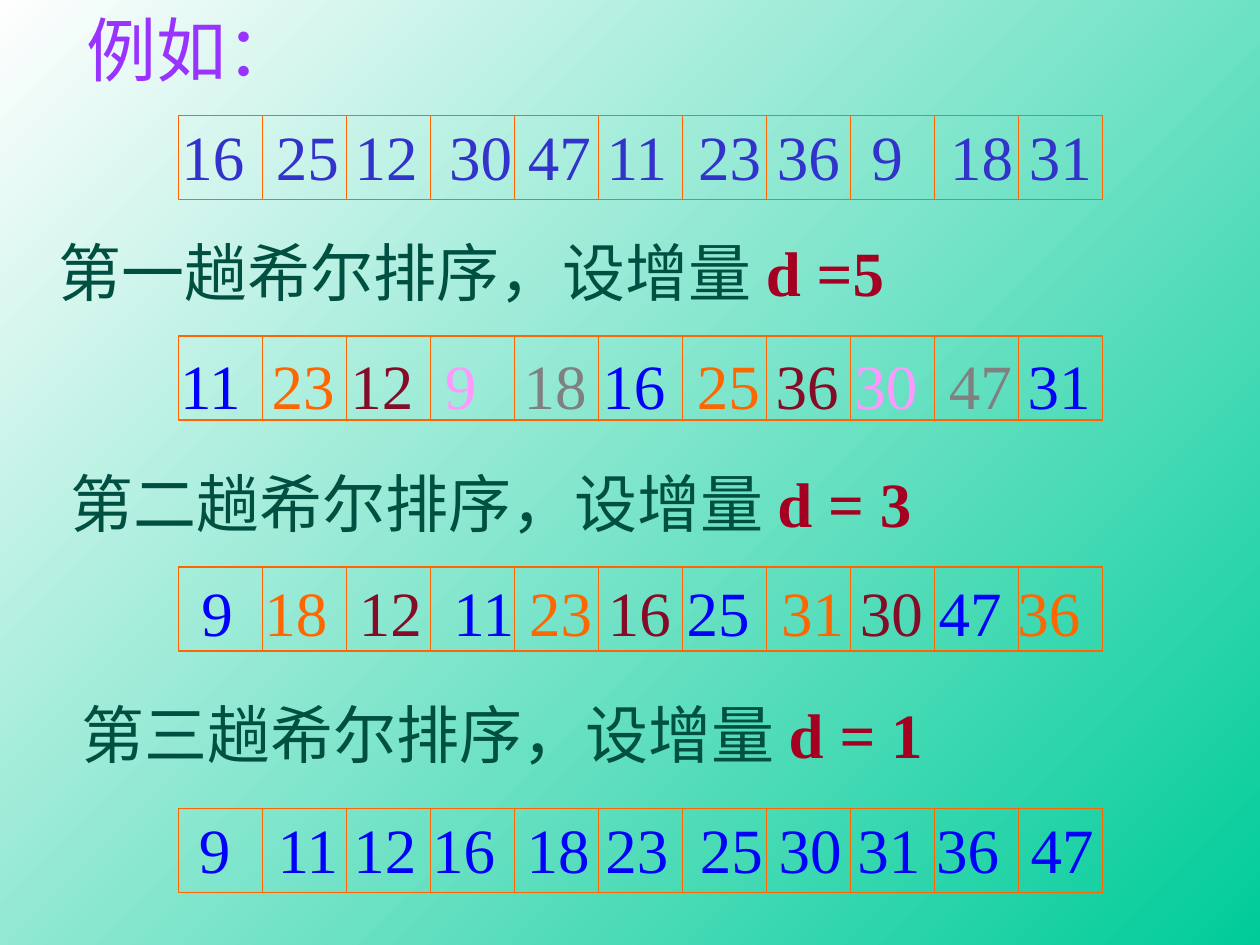
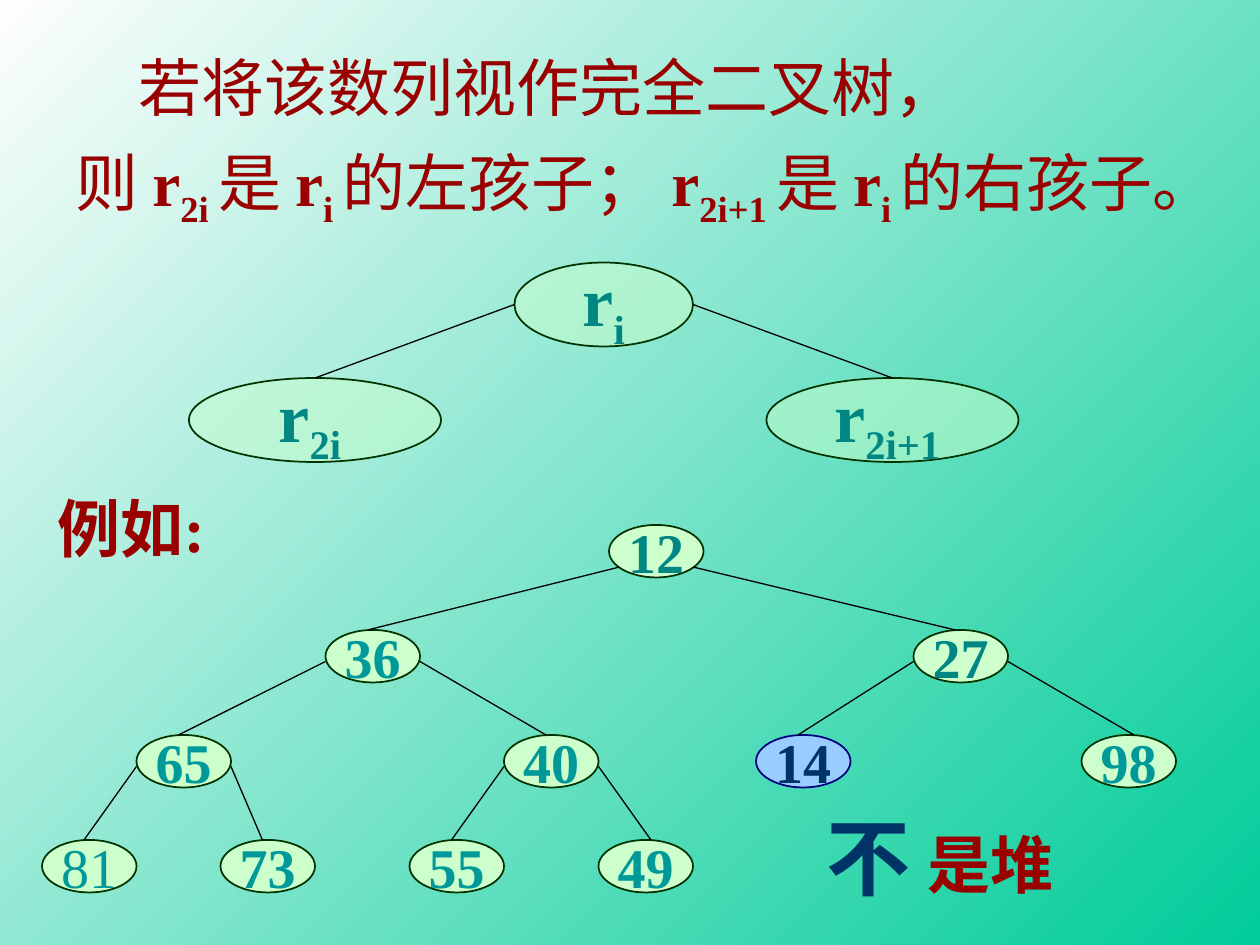
from lxml import etree
from pptx import Presentation
from pptx.dml.color import RGBColor
from pptx.enum.shapes import MSO_CONNECTOR, MSO_SHAPE
from pptx.enum.text import MSO_ANCHOR, PP_ALIGN
from pptx.oxml.ns import qn
from pptx.util import Pt

STRAIGHT = MSO_CONNECTOR.STRAIGHT
RECTANGLE, OVAL = MSO_SHAPE.RECTANGLE, MSO_SHAPE.OVAL
MIDDLE, CENTER = MSO_ANCHOR.MIDDLE, PP_ALIGN.CENTER

FONT = "Times New Roman"
GREEN, WHITE, BLACK = "00CC99", "FEFEFE", "000000"
ORANGE, BLUE, INDIGO, VIOLET = "FF6600", "0000FF", "3333CC", "9933FF"
WINE, PINK, GRAY = "840C26", "FF99FF", "808080"
PINE, CRIMSON, DARK_RED, NAVY = "005042", "A50021", "990000", "003366"
TEAL, LIGHT_TEAL = "008784", "009999"
NODE_FILL, NODE_LINE = "CCFFCC", "003300"
ODD_FILL, ODD_LINE = "99CCFF", "000080"

CELL, CELLS = 48, 11
DIGIT, SPACE, PAIR_KERN = 18, 9, 1.7  # advance widths at 36 pt


def color(hex_code):
    return RGBColor.from_string(hex_code)


def add_page(deck):
    page = deck.slides.add_slide(deck.slide_layouts[6])
    fill = page.background.fill
    fill.gradient()
    fill.gradient_angle = 135
    for stop, (place, hex_code) in zip(fill.gradient_stops, ((0, GREEN), (1, WHITE))):
        stop.position = place
        stop.color.rgb = color(hex_code)
    return page


def add_span(para, text, hex_code, size=36, bold=False, sub=False):
    span = para.add_run()
    span.text = text
    for name, value in {"name": FONT, "size": Pt(size), "bold": bold}.items():
        setattr(span.font, name, value)
    span.font.color.rgb = color(hex_code)
    if sub:
        span.font._element.set("baseline", "-25000")


def add_text(page, box, spans, wrap=False):
    """Place a text box; each span is a tuple of add_span arguments."""
    frame = page.shapes.add_textbox(*map(Pt, box)).text_frame
    frame.word_wrap = wrap
    for span in spans:
        add_span(frame.paragraphs[0], *span)
    return frame


def add_line(page, ends, hex_code):
    line = page.shapes.add_connector(STRAIGHT, *map(Pt, ends))
    line.line.color.rgb = color(hex_code)
    line.line.width = Pt(0.75)
    etree.SubElement(line._element.spPr, qn("a:effectLst"))


def add_outlined(page, kind, box, line_color, width):
    shape = page.shapes.add_shape(kind, *map(Pt, box))
    shape.shadow.inherit = False
    shape.fill.background()
    shape.line.color.rgb = color(line_color)
    shape.line.width = Pt(width)
    return shape


def add_array_grid(page, left, top):
    add_outlined(page, RECTANGLE, (left, top, CELL * CELLS, CELL), ORANGE, 0.75)
    for column in range(1, CELLS):
        x = left + column * CELL
        add_line(page, (x, top, x, top + CELL), ORANGE)


def add_array_numbers(page, left, top, numbers, gaps, colors):
    """Write the numbers on one line, a tab stop opening each gap (in spaces)."""
    spans = []
    for index, number in enumerate(numbers):
        lead = "\t" if index else ""
        spans.append((f"{lead}{number}", colors[index % len(colors)]))
    frame = add_text(page, (left, top, 566, 50), spans, wrap=True)
    stops = etree.SubElement(frame.paragraphs[0]._p.get_or_add_pPr(), qn("a:tabLst"))
    x = 0
    for number, gap in zip(numbers, gaps):
        x += DIGIT * len(str(number)) + SPACE * gap - PAIR_KERN * (number == 11)
        etree.SubElement(stops, qn("a:tab"), pos=str(int(Pt(x))), algn="l")


def add_node(page, box, spans, fill=NODE_FILL, line=NODE_LINE, alpha=None):
    node = add_outlined(page, OVAL, box, line, 1)
    node.fill.solid()
    node.fill.fore_color.rgb = color(fill)
    if alpha:
        rgb = node._element.spPr.find(qn("a:solidFill"))[0]
        etree.SubElement(rgb, qn("a:alpha"), val=str(alpha * 1000))
    frame = node.text_frame
    frame.word_wrap = False
    frame.vertical_anchor = MIDDLE
    para = frame.paragraphs[0]
    para.alignment = CENTER
    for span in spans:
        add_span(para, *span)


def build_shell_sort(deck):
    page = add_page(deck)
    for top in (66, 192, 324, 462):
        add_array_grid(page, 102, top)
    add_text(page, (42.5, 0, 134, 55), [("例如：", VIOLET, 40)])
    for left, top, ordinal, increment in (
        (26.6, 130, "一", "d =5"),
        (33.1, 262, "二", "d = 3"),
        (39.6, 394, "三", "d = 1"),
    ):
        spans = [(f"第{ordinal}趟希尔排序，设增量 ", PINE), (increment, CRIMSON, 36, True)]
        add_text(page, (left, top, 513, 50), spans)
    by_five = (BLUE, ORANGE, WINE, PINK, GRAY)
    by_three = (BLUE, ORANGE, WINE)
    for left, top, numbers, gaps, colors in (
        (96.5, 63.6, (16, 25, 12, 30, 47, 11, 23, 36, 9, 18, 31),
         (2, 1, 2, 1, 1, 2, 1, 2, 3, 1), (INDIGO,)),
        (95.8, 194.4, (11, 23, 12, 9, 18, 16, 25, 36, 30, 47, 31),
         (2, 1, 2, 3, 1, 2, 1, 1, 2, 1), by_five),
        (108, 324, (9, 18, 12, 11, 23, 16, 25, 31, 30, 47, 36),
         (2, 2, 2, 1, 1, 1, 2, 1, 1, 1), by_three),
        (106.5, 459.4, (9, 11, 12, 16, 18, 23, 25, 30, 31, 36, 47),
         (3, 1, 1, 2, 1, 2, 1, 1, 1, 2), (BLUE,)),
    ):
        add_array_numbers(page, left, top, numbers, gaps, colors)


def add_rule_text(page, box):
    frame = add_text(page, box, [("若将该数列视作完全二叉树，", DARK_RED)], wrap=True)
    first = frame.paragraphs[0]
    first._p.get_or_add_pPr().set("indent", str(int(Pt(36))))
    second = frame.add_paragraph()
    for plain, index in (("则 ", "2i "), ("是 ", "i "), ("的左孩子； ", "2i+1 "), ("是 ", "i ")):
        add_span(second, plain, DARK_RED)
        add_span(second, "r", DARK_RED, bold=True)
        add_span(second, index, DARK_RED, bold=True, sub=True)
    add_span(second, "的右孩子。", DARK_RED)
    for para in frame.paragraphs:
        para.space_before = Pt(11.2)


def add_family(page, left, top):
    """Draw the general parent with its two children."""
    for x, y, width, index in ((186, 0, 102, "i"), (0, 66, 144, "2i "), (330, 66, 144, "2i+1 ")):
        spans = [("r", TEAL, 40, True), (index, TEAL, 40, True, True)]
        add_node(page, (left + x, top + y, width, 48), spans, alpha=50)
    for start, end in ((186, 72), (288, 402)):
        add_line(page, (left + start, top + 24, left + end, top + 66), BLACK)


def add_example_tree(page, left, top):
    """Draw the tree level by level: value, node left, x where its edge arrives."""
    width, height, step = 54, 30, 60
    nodes = (
        (12, 324, 0), (36, 162, 186), (27, 498, 522), (65, 54, 78),
        (40, 264, 288), (14, 408, 432), (98, 594, 624),
        (81, 0, 24), (73, 102, 126), (55, 210, 234), (49, 318, 348),
    )
    for index, (value, x, tip) in enumerate(nodes):
        y = top + step * ((index + 1).bit_length() - 1)
        text_color = {12: TEAL, 27: TEAL, 14: NAVY}.get(value, LIGHT_TEAL)
        look = {"fill": ODD_FILL, "line": ODD_LINE} if value == 14 else {}
        add_node(page, (left + x, y, width, height),
                 [(str(value), text_color, 32, value != 81)], **look)
        if index:
            parent = (index - 1) // 2
            inset, drop = (0, 18) if parent else (6, 24)
            start = nodes[parent][1] + (inset if index % 2 else width - inset)
            add_line(page, (left + start, y - step + drop, left + tip, y), BLACK)


def build_heap(deck):
    page = add_page(deck)
    add_family(page, 108, 150)
    add_rule_text(page, (36, 24, 660, 154))
    add_example_tree(page, 24, 300)
    for box, text, hex_code, size in (
        ((26, 276, 106.5, 50), "例如:", DARK_RED, 36),
        ((522.7, 468, 86.4, 50), "是堆", DARK_RED, 36),
        ((465, 457, 62, 65), "不", NAVY, 48),
    ):
        add_text(page, box, [(text, hex_code, size, True)])


def main():
    deck = Presentation()
    deck.slide_width, deck.slide_height = Pt(720), Pt(540)
    build_shell_sort(deck)
    build_heap(deck)
    deck.save("out.pptx")


if __name__ == "__main__":
    main()
